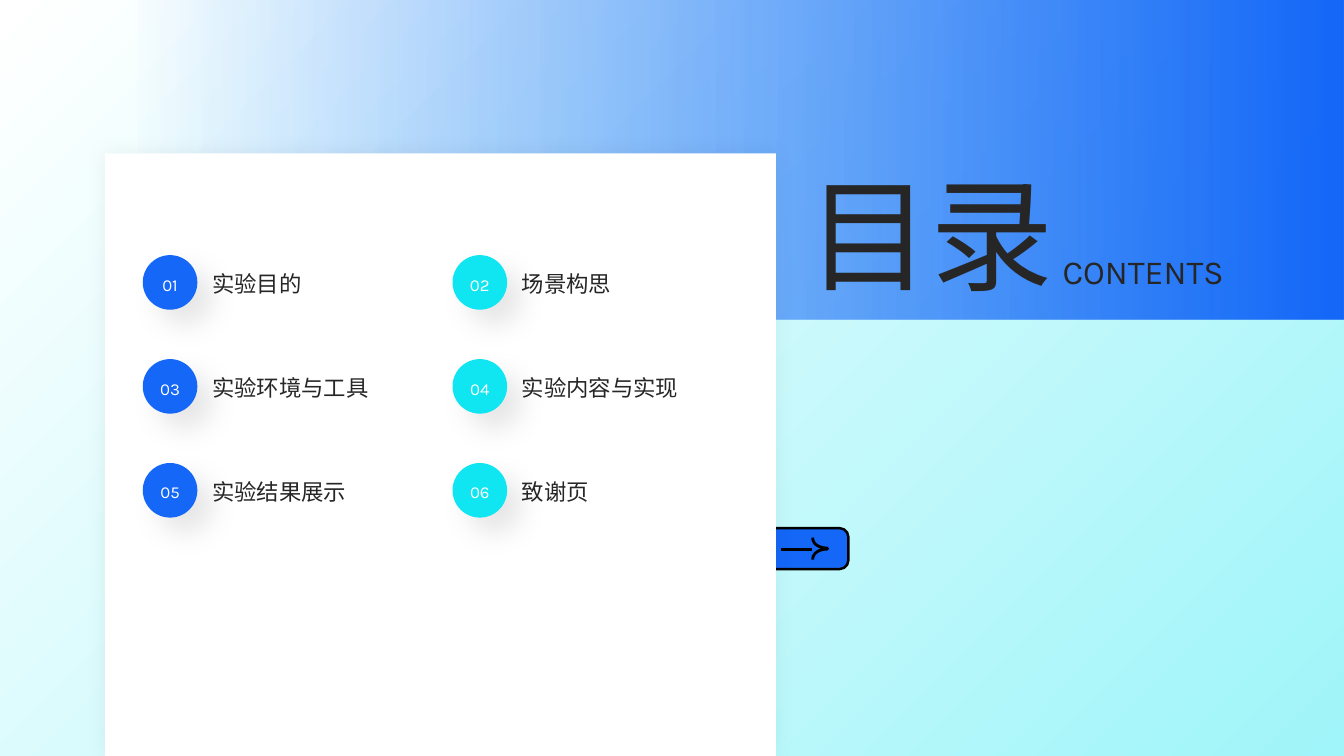
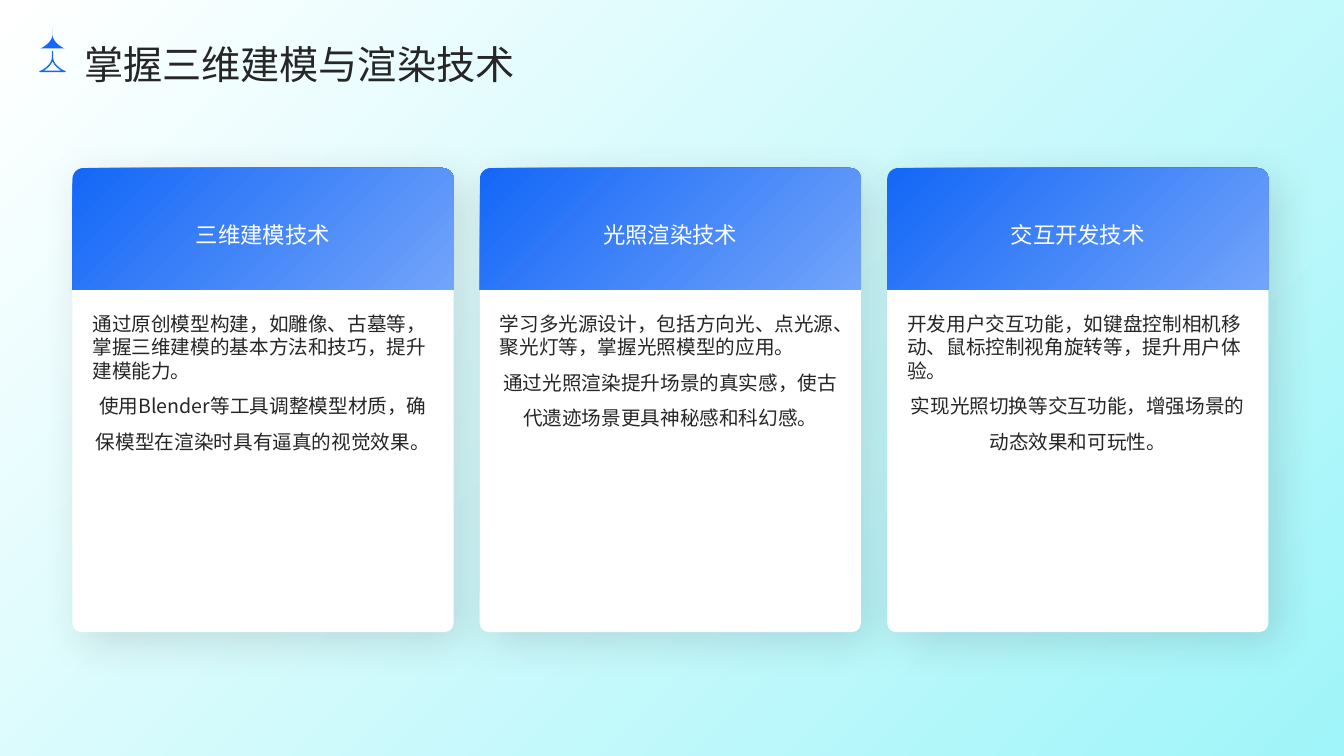
from lxml.etree import SubElement
from pptx import Presentation
from pptx.dml.color import RGBColor
from pptx.enum.shapes import MSO_CONNECTOR, MSO_SHAPE as SHAPE
from pptx.enum.text import MSO_ANCHOR as ANCHOR, MSO_AUTO_SIZE, PP_ALIGN as ALIGN
from pptx.oxml.ns import qn
from pptx.shapes.autoshape import Shape
from pptx.util import Pt

PX = 9525
BLUE, CYAN, WHITE, BLACK, INK = "1467F7", "0FE6F1", "FFFFFF", "000000", "262626"
HEADING_FONT, NUMBER_FONT, BODY_FONT = "Lato", "Karla", "Noto Sans CJK SC"
BACKGROUND = ([(0, WHITE), (1, "9FF5F9")], 315)
HEADER = ([(0.01, BLUE), (1, "72A4FA")], 315)
BOX_MARGINS = (10, 5)
color = RGBColor.from_string


def style(target, fill, line=None, shadow=None):
    if fill is None:
        target.fill.background()
    elif isinstance(fill, str):
        target.fill.solid()
        target.fill.fore_color.rgb = color(fill)
    else:
        stops, angle = fill
        target.fill.gradient()
        target.fill.gradient_angle = angle
        for stop, (position, stop_color) in zip(target.fill.gradient_stops, stops):
            stop.position = position
            stop.color.rgb = color(stop_color)
    if not isinstance(target, Shape):
        return
    if line:
        target.line.color.rgb = color(line[0])
        target.line.width = Pt(line[1])
    else:
        target.line.fill.background()
    target.shadow.inherit = False
    if shadow:
        shadow_color, opacity, blur, distance, direction = shadow
        effects = target.element.spPr.find(qn("a:effectLst"))
        outer = SubElement(effects, qn("a:outerShdw"), blurRad=str(Pt(blur)), dist=str(Pt(distance)),
                           dir=str(direction * 60000), algn="ctr", rotWithShape="0")
        tone = SubElement(outer, qn("a:srgbClr"), val=shadow_color)
        SubElement(tone, qn("a:alpha"), val=str(opacity * 1000))


def write(shape, lines, size, font, text_color=INK, margins=(0, 0), anchor=ANCHOR.TOP):
    frame = shape.text_frame
    frame.auto_size = MSO_AUTO_SIZE.NONE
    frame.word_wrap = True
    frame.vertical_anchor = anchor
    frame.margin_left = frame.margin_right = margins[0] * PX
    frame.margin_top = frame.margin_bottom = margins[1] * PX
    for index, (text, alignment, spacing) in enumerate(lines):
        paragraph = frame.add_paragraph() if index else frame.paragraphs[0]
        paragraph.alignment = alignment
        paragraph.line_spacing = spacing
        run = paragraph.add_run()
        run.text = text
        run.font.size = Pt(size)
        run.font.name = font
        run.font.color.rgb = color(text_color)
        SubElement(run.font._element, qn("a:ea"), typeface=HEADING_FONT)


presentation = Presentation()
presentation.slide_width = 1280 * PX
presentation.slide_height = 720 * PX
style(presentation.slide_master.background, BACKGROUND)
title_only = presentation.slide_layouts[5]

steps = [step / 12 for step in range(13)]
bernstein = [((1 - t) ** 3, 3 * t * (1 - t) ** 2, 3 * t * t * (1 - t), t ** 3) for t in steps]
controls = {
    "arrow": [(774, 512), (774, 518), (780, 522), (788, 522)],
    "star": [(39, 46), (45, 43), (50, 38), (50, 33)],
}
curves = {
    name: [tuple(sum(w * point[axis] for w, point in zip(weights, points)) for axis in (0, 1))
           for weights in bernstein]
    for name, points in controls.items()
}

slide = presentation.slides.add_slide(title_only)
shapes = slide.shapes
band = shapes.add_shape(SHAPE.RECTANGLE, 0, 0, 1280 * PX, 304 * PX)
style(band, ([(0.1, BLUE), (1, BLUE)], 0))
SubElement(band.element.spPr.find(".//" + qn("a:srgbClr")), qn("a:alpha"), val="0")

button = shapes.add_shape(SHAPE.ROUNDED_RECTANGLE, 730 * PX, 503 * PX, 78 * PX, 39 * PX)
button.adjustments[0] = 0.215
style(button, BLUE, (BLACK, 1.75))

arrow_points = curves["arrow"] + [(x, 1045 - y) for x, y in reversed(curves["arrow"])]
outline = [(x * PX, y * PX) for x, y in arrow_points]
builder = shapes.build_freeform(*outline[0])
builder.add_line_segments(outline[1:], close=False)
style(builder.convert_to_shape(), None, (BLACK, 2))

shaft = shapes.add_connector(MSO_CONNECTOR.STRAIGHT, 744 * PX, 523 * PX, 773 * PX, 523 * PX)
shaft.line.color.rgb = color(BLACK)
shaft.line.width = Pt(2)
SubElement(shaft.element.spPr, qn("a:effectLst"))

panel = shapes.add_shape(SHAPE.RECTANGLE, 100 * PX, 146 * PX, 639 * PX, 574 * PX)
style(panel, WHITE, shadow=(BLACK, 5, 15, 0, 0))

topics = ["实验目的", "场景构思", "实验环境与工具", "实验内容与实现", "实验结果展示", "致谢页"]
for index, topic in enumerate(topics):
    row, column = divmod(index, 2)
    left, top = 136 + 295 * column, 243 + 99 * row
    circle = shapes.add_shape(SHAPE.OVAL, left * PX, top * PX, 52 * PX, 52 * PX)
    style(circle, (BLUE, CYAN)[column], shadow=(BLACK, 10, 20, 15, 45))
    write(circle, [(f"{index + 1:02}", ALIGN.CENTER, 1.2)], 12, NUMBER_FONT, WHITE, anchor=ANCHOR.MIDDLE)
    label = shapes.add_textbox((left + 56) * PX, (top - 10) * PX, 234 * PX, 70 * PX)
    write(label, [(topic, ALIGN.LEFT, 1.2)], 16, HEADING_FONT, margins=BOX_MARGINS, anchor=ANCHOR.MIDDLE)

title = shapes.title
title.left, title.top, title.width, title.height = 759 * PX, 146 * PX, 520 * PX, 152 * PX
write(title, [("目录", ALIGN.LEFT, 1.0)], 88, HEADING_FONT, margins=BOX_MARGINS)
title.element.getparent().append(title.element)
subtitle = shapes.add_textbox(1002 * PX, 234 * PX, 255 * PX, 48 * PX)
write(subtitle, [("CONTENTS", ALIGN.LEFT, 1.0)], 24, NUMBER_FONT, margins=BOX_MARGINS)

slide = presentation.slides.add_slide(title_only)
shapes = slide.shapes
title = shapes.title
title.left, title.top, title.width, title.height = 80 * PX, 25 * PX, 1090 * PX, 57 * PX
write(title, [("掌握三维建模与渲染技术", ALIGN.LEFT, 1.3)], 28, BODY_FONT)

left_side = [(38, 46)] + curves["star"] + [(50, 27)]
star_points = left_side + [(100 - x, y) for x, y in reversed(left_side[:-1])]
for offset, fill, line in [(0, BLUE, None), (22, None, (BLUE, 1))]:
    outline = [(x * PX, (y + offset) * PX) for x, y in star_points]
    builder = shapes.build_freeform(*outline[0])
    builder.add_line_segments(outline[1:], close=True)
    style(builder.convert_to_shape(), fill, line)

cards = [
    ("三维建模技术",
     "通过原创模型构建，如雕像、古墓等，掌握三维建模的基本方法和技巧，提升建模能力。",
     "使用Blender等工具调整模型材质，确保模型在渲染时具有逼真的视觉效果。"),
    ("光照渲染技术",
     "学习多光源设计，包括方向光、点光源、聚光灯等，掌握光照模型的应用。",
     "通过光照渲染提升场景的真实感，使古代遗迹场景更具神秘感和科幻感。"),
    ("交互开发技术",
     "开发用户交互功能，如键盘控制相机移动、鼠标控制视角旋转等，提升用户体验。",
     "实现光照切换等交互功能，增强场景的动态效果和可玩性。"),
]
for index, (heading, skill, result) in enumerate(cards):
    left = 69 + 388 * index
    card = shapes.add_shape(SHAPE.ROUNDED_RECTANGLE, left * PX, 161 * PX, 363 * PX, 441 * PX)
    card.adjustments[0] = 0.023
    style(card, WHITE, shadow=(INK, 15, 30, 10, 45))
    header = shapes.add_shape(SHAPE.ROUND_2_SAME_RECTANGLE, left * PX, 160 * PX, 363 * PX, 116 * PX)
    header.adjustments[0] = 0.09
    style(header, HEADER)
    write(header, [(heading, ALIGN.CENTER, 1.3)], 16, BODY_FONT, WHITE, (7, 4), ANCHOR.MIDDLE)
    body = shapes.add_textbox((left + 19) * PX, 297 * PX, 325 * PX, 272 * PX)
    write(body, [(skill, ALIGN.LEFT, 1.0), (result, ALIGN.CENTER, 1.5)], 14, BODY_FONT)

presentation.save("out.pptx")
